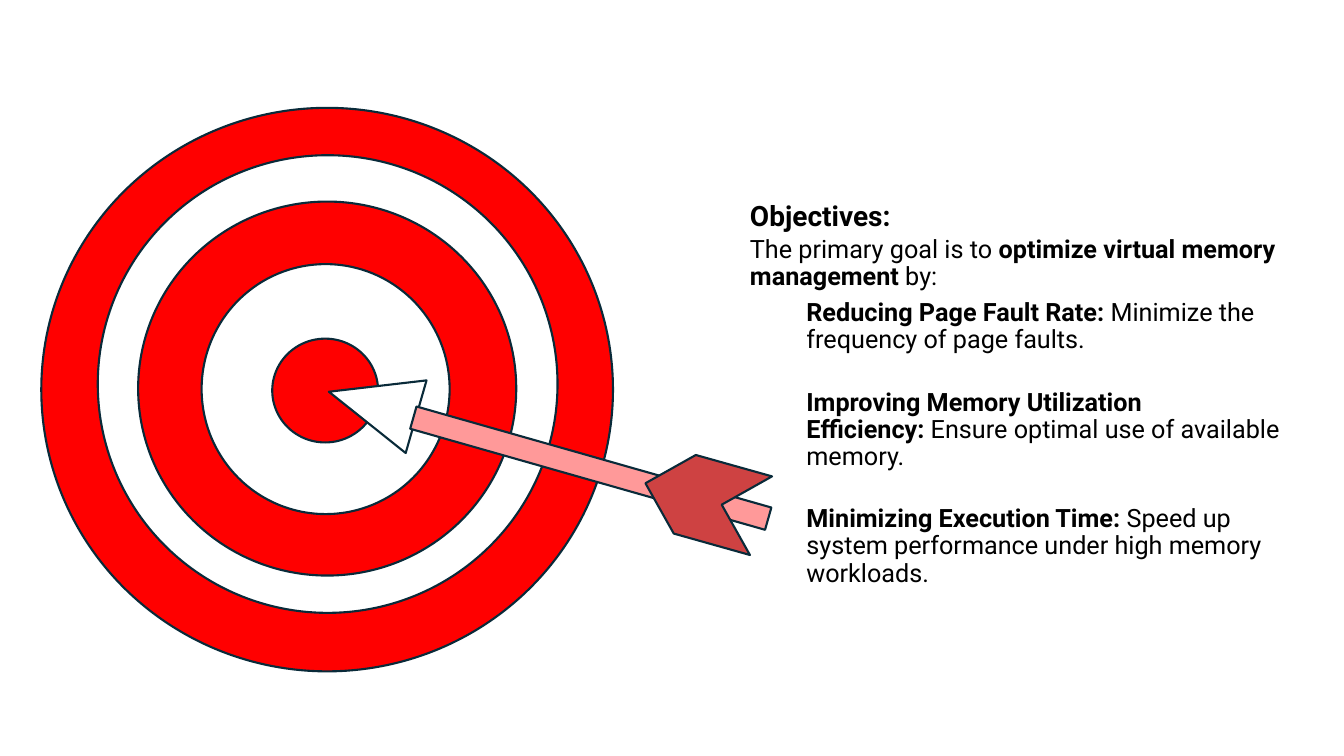
"""Build the objectives slide with a target, an arrow and a list of goals."""
from dataclasses import dataclass

from pptx import Presentation
from pptx import util as u
from pptx.dml.color import RGBColor
from pptx.enum import shapes, text
from pptx.shapes.autoshape import Shape
from pptx.shapes.shapetree import _BaseGroupShapes
from pptx.slide import Slide

RED = RGBColor(0xFF, 0x00, 0x00)
WHITE = RGBColor(0xFF, 0xFF, 0xFF)
BLACK = RGBColor(0x00, 0x00, 0x00)
OUTLINE = RGBColor(0x09, 0x2A, 0x39)
SHAFT = RGBColor(0xFF, 0x99, 0x99)
FEATHER = RGBColor(0xCE, 0x42, 0x42)
FONT = "Roboto"
NBSP = chr(160)
OVAL = shapes.MSO_SHAPE.OVAL


@dataclass(frozen=True)
class Part:
    kind: shapes.MSO_SHAPE
    left: float
    top: float
    width: float
    height: float
    fill: RGBColor
    rotation: float = 0


@dataclass(frozen=True)
class Span:
    words: str
    bold: bool = False


@dataclass(frozen=True)
class Para:
    spans: tuple[Span, ...]
    size: int = 18
    before: int = 3
    after: int = 0
    level: int = 0


RINGS = (
    Part(OVAL, 0.41, 1.07, 5.67, 5.59, RED),
    Part(OVAL, 0.97, 1.54, 4.56, 4.54, WHITE),
    Part(OVAL, 1.37, 2, 3.75, 3.71, RED),
    Part(OVAL, 2, 2.62, 2.46, 2.48, WHITE),
    Part(OVAL, 2.7, 3.36, 1.05, 1.03, RED),
)
ARROW = (
    Part(shapes.MSO_SHAPE.ISOSCELES_TRIANGLE, 3.32, 3.56, 0.75, 0.9, WHITE, 286),
    Part(shapes.MSO_SHAPE.RECTANGLE, 4.03, 4.53, 3.66, 0.23, SHAFT, 15.9),
    Part(shapes.MSO_SHAPE.CHEVRON, 6.38, 4.55, 1.19, 0.81, FEATHER, 195.7),
)


def goal(name: str, detail: str, before: int = 25) -> Para:
    """Return an indented goal with a bold name."""
    return Para((Span(name, True), Span(NBSP + detail)), before=before, level=1)


OBJECTIVES = (
    Para((Span("Objectives:", True),), size=20, before=0),
    Para(
        (
            Span(f"The primary goal is to{NBSP}"),
            Span("optimize virtual memory management", True),
            Span(f"{NBSP}by:"),
        ),
        after=3,
    ),
    goal("Reducing Page Fault Rate:", "Minimize the frequency of page faults.", 3),
    goal("Improving Memory Utilization Efficiency:", "Ensure optimal use of available memory."),
    goal("Minimizing Execution Time:", "Speed up system performance under high memory workloads."),
)


def draw_part(tree: _BaseGroupShapes, part: Part) -> Shape:
    """Draw one outlined shape."""
    lengths = (u.Inches(n) for n in (part.left, part.top, part.width, part.height))
    shape = tree.add_shape(part.kind, *lengths)
    shape.rotation = part.rotation
    shape.shadow.inherit = False
    shape.fill.solid()
    shape.fill.fore_color.rgb = part.fill
    shape.line.color.rgb = OUTLINE
    shape.line.width = u.Pt(1.5)
    return shape


def draw_text(page: Slide, paras: tuple[Para, ...]) -> None:
    """Write the paragraphs in a text box."""
    box = page.shapes.add_textbox(u.Inches(7.34), u.Inches(1.96), u.Inches(5.66), u.Inches(4.46))
    frame = box.text_frame
    frame.word_wrap = True
    frame.vertical_anchor = text.MSO_ANCHOR.TOP
    for index, para in enumerate(paras):
        line = frame.add_paragraph() if index else frame.paragraphs[0]
        line.level = para.level
        line.line_spacing = 0.9
        line.space_before = u.Pt(para.before)
        line.space_after = u.Pt(para.after)
        if para.level:
            properties = line._p.get_or_add_pPr()
            properties.set("marL", str(u.Inches(0.56)))
            properties.set("indent", "0")
        for span in para.spans:
            run = line.add_run()
            run.text = span.words
            run.font.name = FONT
            run.font.size = u.Pt(para.size)
            run.font.bold = span.bold
            run.font.color.rgb = BLACK


def main() -> None:
    """Build and save the deck."""
    deck = Presentation()
    deck.slide_width = u.Inches(13.33)
    deck.slide_height = u.Inches(7.5)
    page = deck.slides.add_slide(deck.slide_layouts[6])
    draw_text(page, OBJECTIVES)
    for ring in RINGS:
        draw_part(page.shapes, ring)
    arrow = page.shapes.add_group_shape()
    for part in ARROW:
        draw_part(arrow.shapes, part)
    deck.save("out.pptx")


if __name__ == "__main__":
    main()
